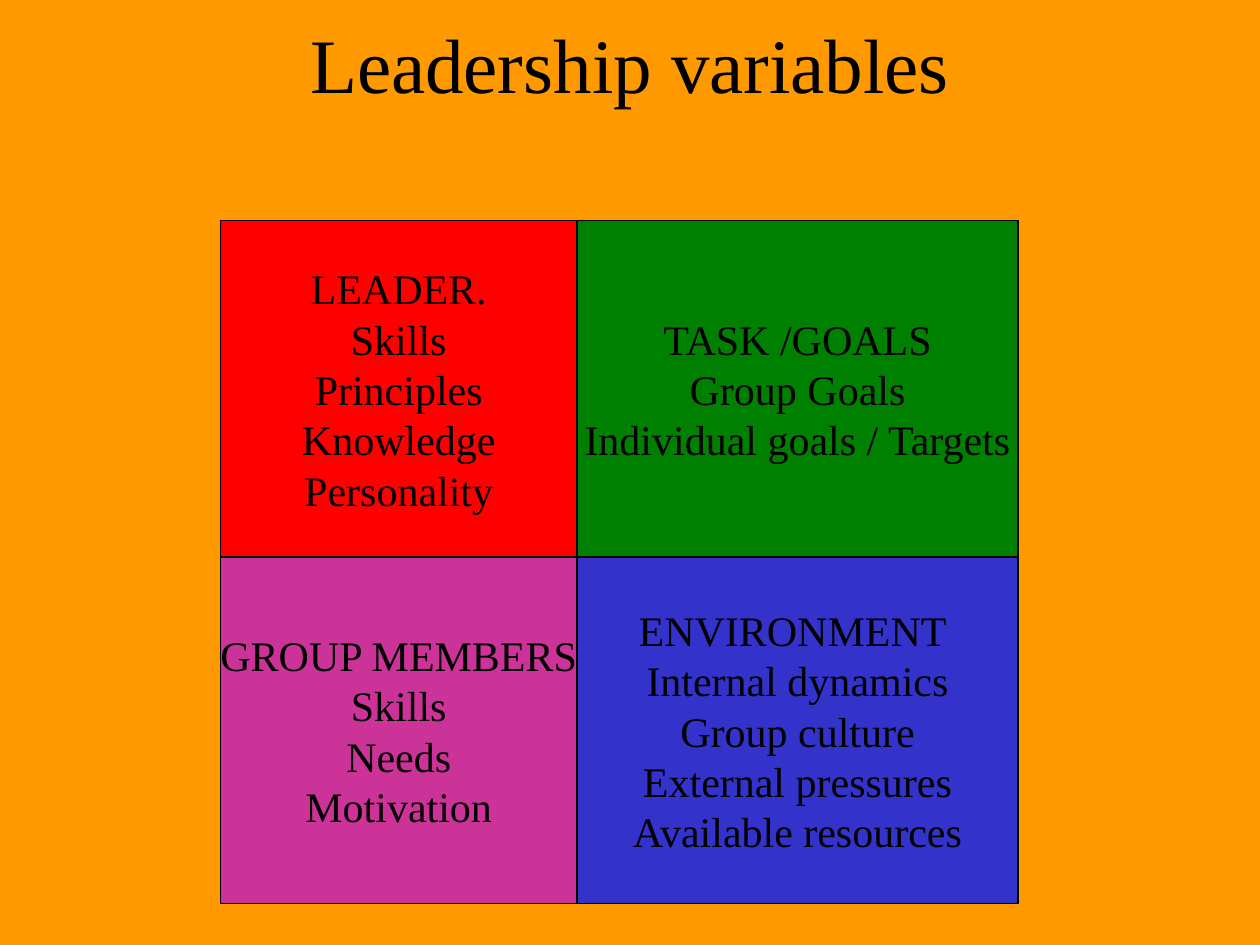
import pptx
import pptx.dml.color
import pptx.enum.shapes
import pptx.enum.text
import pptx.util

Inches = pptx.util.Inches
Pt = pptx.util.Pt


def colour(hex_string):
    return pptx.dml.color.RGBColor.from_string(hex_string)


class SlideBuilder:
    font = "Times New Roman"
    ink = "000000"
    title_size = 44
    body_size = 24
    border_width = 0.75

    def __init__(self, slide, background):
        self.slide = slide
        slide.background.fill.solid()
        slide.background.fill.fore_color.rgb = colour(background)

    def centred_lines(self, frame, lines, size, wrap):
        """Fill a text frame with centred lines, one paragraph each."""
        frame.word_wrap = wrap
        frame.vertical_anchor = pptx.enum.text.MSO_ANCHOR.MIDDLE
        for index, line in enumerate(lines):
            paragraph = frame.add_paragraph() if index else frame.paragraphs[0]
            paragraph.alignment = pptx.enum.text.PP_ALIGN.CENTER
            run = paragraph.add_run()
            run.text = line
            run.font.name = self.font
            run.font.size = Pt(size)
            run.font.color.rgb = colour(self.ink)

    def title(self, wording, left, top, width, height):
        box = self.slide.shapes.add_textbox(
            Inches(left), Inches(top), Inches(width), Inches(height))
        self.centred_lines(box.text_frame, [wording], self.title_size, True)

    def quadrant(self, lines, fill, left, top, width, height):
        box = self.slide.shapes.add_shape(
            pptx.enum.shapes.MSO_SHAPE.RECTANGLE,
            Inches(left), Inches(top), Inches(width), Inches(height))
        box.shadow.inherit = False
        box.fill.solid()
        box.fill.fore_color.rgb = colour(fill)
        box.line.color.rgb = colour(self.ink)
        box.line.width = Pt(self.border_width)
        self.centred_lines(box.text_frame, lines, self.body_size, False)


LEFT, TOP = 1.75, 1.75
COLUMN_WIDTHS = [2.83, 3.5]
ROW_HEIGHTS = [2.67, 2.75]

VARIABLES = [
    [
        ("FF0000", ["LEADER.", "Skills", "Principles", "Knowledge", "Personality"]),
        ("008000", ["TASK /GOALS", "Group Goals", "Individual goals / Targets"]),
    ],
    [
        ("CC3399", ["GROUP MEMBERS", "Skills", "Needs", "Motivation"]),
        ("3333CC", ["ENVIRONMENT ", "Internal dynamics", "Group culture",
                    "External pressures", "Available resources"]),
    ],
]


def main():
    deck = pptx.Presentation()
    deck.slide_width = Inches(10)
    deck.slide_height = Inches(7.5)
    builder = SlideBuilder(deck.slides.add_slide(deck.slide_layouts[6]), "FF9900")

    builder.title("Leadership variables", 0.75, 0.25, 8.5, 0.5)
    top = TOP
    for height, row in zip(ROW_HEIGHTS, VARIABLES):
        left = LEFT
        for width, (fill, lines) in zip(COLUMN_WIDTHS, row):
            builder.quadrant(lines, fill, left, top, width, height)
            left += width
        top += height

    deck.save("out.pptx")


if __name__ == "__main__":
    main()
